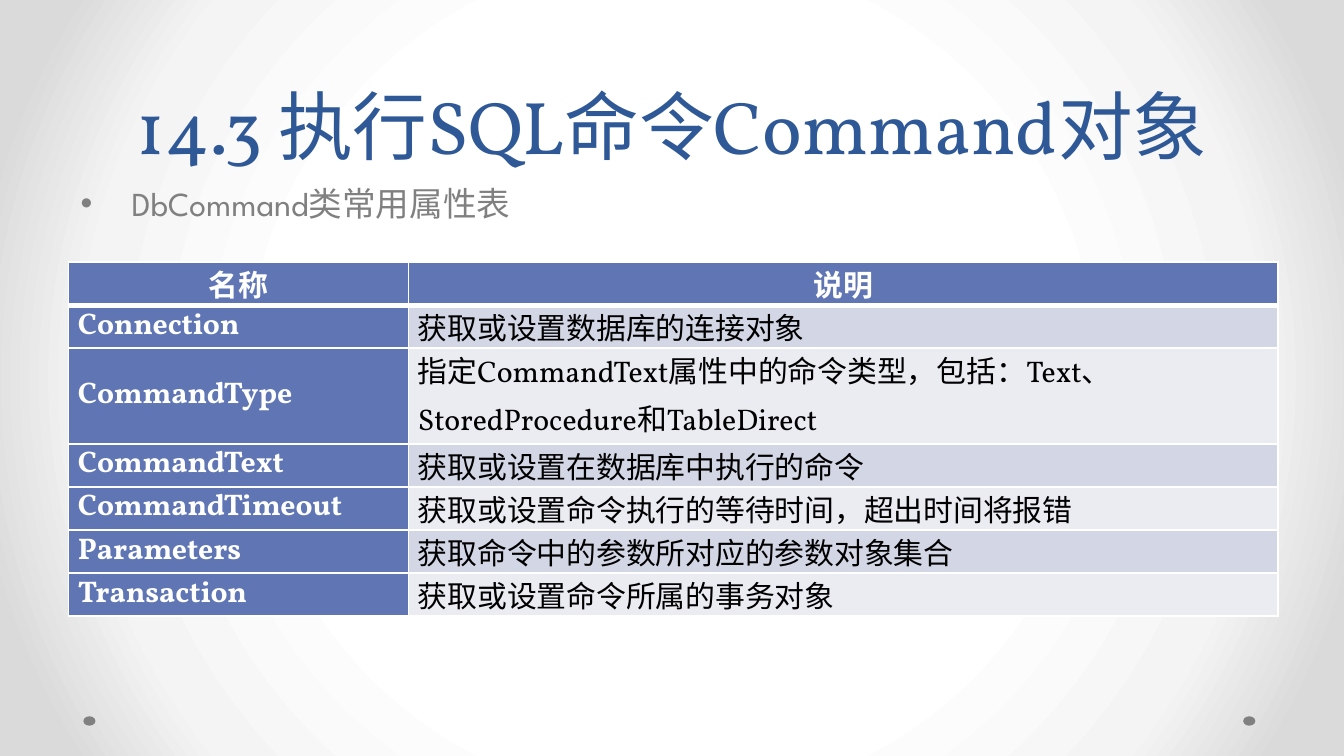
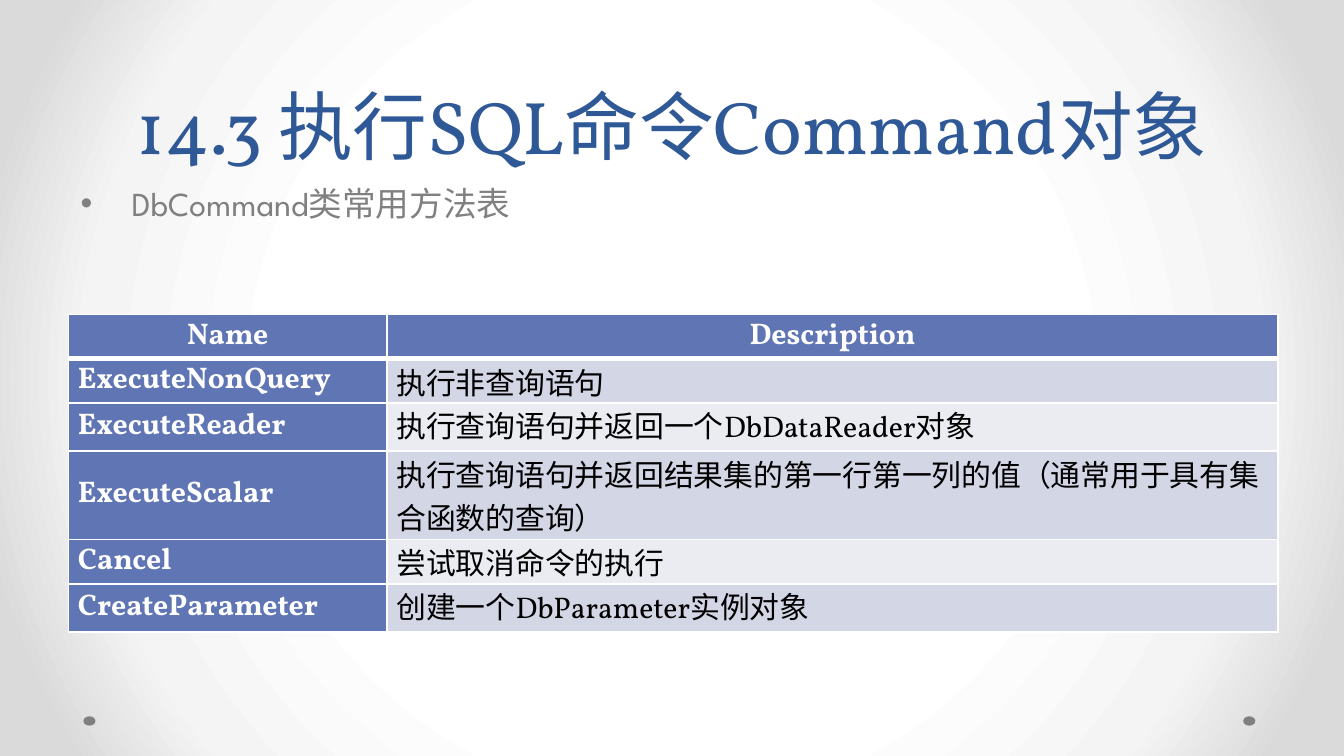
import pptx
import pptx.dml.color
import pptx.enum.shapes
import pptx.enum.text
import pptx.oxml
import pptx.oxml.ns
import pptx.util
from lxml import etree

Inches, Pt = pptx.util.Inches, pptx.util.Pt
ALIGN = pptx.enum.text.PP_ALIGN
ANCHOR = pptx.enum.text.MSO_ANCHOR

SERIF, SANS = "Vollkorn", "League Spartan"
NAVY, BLUE, GRAY = "2F5897", "6076B4", "808080"
WHITE, BLACK = "FFFFFF", "000000"
BANDS = ("D2D6E5", "EAECF2")
BACKDROP_STOPS = ((50, WHITE), (76, "F4F4F4"), (92, "DADADA"))

TITLE = "14.3 执行SQL命令Command对象"
TITLE_BOX = (0.5, 0, 9, 1.31)
BODY_BOX = (0.5, 1.31, 9, 3.71)

PROPERTIES = [
    ("名称", "说明"),
    ("Connection", "获取或设置数据库的连接对象"),
    ("CommandType", "指定CommandText属性中的命令类型，包括：Text、StoredProcedure和TableDirect"),
    ("CommandText", "获取或设置在数据库中执行的命令"),
    ("CommandTimeout", "获取或设置命令执行的等待时间，超出时间将报错"),
    ("Parameters", "获取命令中的参数所对应的参数对象集合"),
    ("Transaction", "获取或设置命令所属的事务对象"),
]
METHODS = [
    ("Name", "Description"),
    ("ExecuteNonQuery", "执行非查询语句"),
    ("ExecuteReader", "执行查询语句并返回一个DbDataReader对象"),
    ("ExecuteScalar", "执行查询语句并返回结果集的第一行第一列的值（通常用于具有集合函数的查询）"),
    ("Cancel", "尝试取消命令的执行"),
    ("CreateParameter", "创建一个DbParameter实例对象"),
]


def color(hex_value):
    return pptx.dml.color.RGBColor.from_string(hex_value)


def style_font(font, name, size, hex_value, bold=False):
    font.name, font.size, font.bold = name, Pt(size), bold
    font.color.rgb = color(hex_value)


def place(shape, box):
    shape.left, shape.top, shape.width, shape.height = map(Inches, box)


def set_backdrop(master):
    """Radial gradient shared by all slides."""
    master.background.fill.solid()
    solid = master.element.find(".//" + pptx.oxml.ns.qn("p:bgPr"))[0]
    stops = "".join(
        f'<a:gs pos="{pos * 1000}"><a:srgbClr val="{value}"/></a:gs>'
        for pos, value in BACKDROP_STOPS)
    gradient = pptx.oxml.parse_xml(
        f'<a:gradFill {pptx.oxml.ns.nsdecls("a")} rotWithShape="1">'
        f'<a:gsLst>{stops}</a:gsLst><a:path path="circle">'
        '<a:fillToRect l="50000" t="50000" r="50000" b="50000"/>'
        '</a:path></a:gradFill>')
    solid.getparent().replace(solid, gradient)


def add_footer_dots(master, slide):
    """Dots are formed on a slide, then moved to the master."""
    next_id = max(shape.shape_id for shape in master.shapes) + 1
    for dot_id, left in enumerate((9.25, 0.62), next_id):
        dot = slide.shapes.add_shape(
            pptx.enum.shapes.MSO_SHAPE.OVAL,
            *map(Inches, (left, 5.33, 0.09, 0.07)))
        dot.shadow.inherit = False
        dot.fill.solid()
        dot.fill.fore_color.rgb = color(GRAY)
        dot.line.fill.background()
        dot.element.find(".//" + pptx.oxml.ns.qn("p:cNvPr")).set("id", str(dot_id))
        master.shapes.element.append(dot.element)


def fill_title(title, box):
    place(title, box)
    title.text_frame.text = TITLE
    title.text_frame.vertical_anchor = ANCHOR.BOTTOM
    heading = title.text_frame.paragraphs[0]
    heading.alignment = ALIGN.CENTER
    heading.line_spacing = Pt(58)
    style_font(heading.font, SERIF, 40, NAVY)


def fill_body(body, box, caption):
    place(body, box)
    body.text_frame.text = caption
    bullet_line = body.text_frame.paragraphs[0]
    style_font(bullet_line.font, SANS, 18, GRAY)
    properties = bullet_line._p.get_or_add_pPr()
    properties.set("marL", str(Inches(0.38)))
    properties.set("indent", str(-Inches(0.38)))
    bullet = etree.Element(pptx.oxml.ns.qn("a:buChar"), char="•")
    properties.insert_element_before(bullet, "a:tabLst", "a:defRPr", "a:extLst")


def set_borders(cell, widths):
    """White borders; widths are points for left, right, top, bottom."""
    properties = cell._tc.get_or_add_tcPr()
    for side, width in zip("LRTB", widths):
        properties.append(pptx.oxml.parse_xml(
            f'<a:ln{side} {pptx.oxml.ns.nsdecls("a")} w="{Pt(width)}">'
            f'<a:solidFill><a:srgbClr val="{WHITE}"/></a:solidFill></a:ln{side}>'))


def fill_cell(cell, text, row, col):
    is_label = row == 0 or col == 0
    cell.text = text
    cell.vertical_anchor = ANCHOR.MIDDLE
    cell.margin_left = cell.margin_right = Inches(0.07)
    cell.margin_top = cell.margin_bottom = 0
    entry = cell.text_frame.paragraphs[0]
    entry.alignment = ALIGN.CENTER if row == 0 else ALIGN.LEFT
    style_font(entry.font, SERIF, 16, WHITE if is_label else BLACK, is_label)
    set_borders(cell, (1, 1, 3 if row == 1 else 1, 3 if row == 0 else 1))
    cell.fill.solid()
    cell.fill.fore_color.rgb = color(BLUE if is_label else BANDS[(row - 1) % 2])


def add_member_table(slide, box, members, name_width, row_height, tall_row):
    """Name and description table; tall_row holds two lines of text."""
    table = slide.shapes.add_table(len(members), 2, *map(Inches, box)).table
    table.columns[0].width = Inches(name_width)
    table.columns[1].width = Inches(box[2] - name_width)
    for row, texts in enumerate(members):
        lines = 2 if row == tall_row else 1
        table.rows[row].height = Inches(row_height * lines)
        for col, text in enumerate(texts):
            fill_cell(table.cell(row, col), text, row, col)


def add_reference_slide(prs, caption, members, top, name_width, row_height, tall_row):
    slide = prs.slides.add_slide(prs.slide_layouts[1])
    fill_title(slide.shapes.title, TITLE_BOX)
    fill_body(slide.placeholders[1], BODY_BOX, caption)
    table_box = (0.51, top, 9, row_height * (len(members) + 1))
    add_member_table(slide, table_box, members, name_width, row_height, tall_row)
    return slide


def main():
    prs = pptx.Presentation()
    prs.slide_width = Inches(10)
    prs.slide_height = prs.slide_width * 9 // 16
    set_backdrop(prs.slide_master)
    properties_slide = add_reference_slide(
        prs, "DbCommand类常用属性表", PROPERTIES,
        top=1.95, name_width=2.53, row_height=0.32, tall_row=2)
    add_reference_slide(
        prs, "DbCommand类常用方法表", METHODS,
        top=2.34, name_width=2.37, row_height=0.33, tall_row=3)
    add_footer_dots(prs.slide_master, properties_slide)
    prs.save("out.pptx")


if __name__ == "__main__":
    main()
